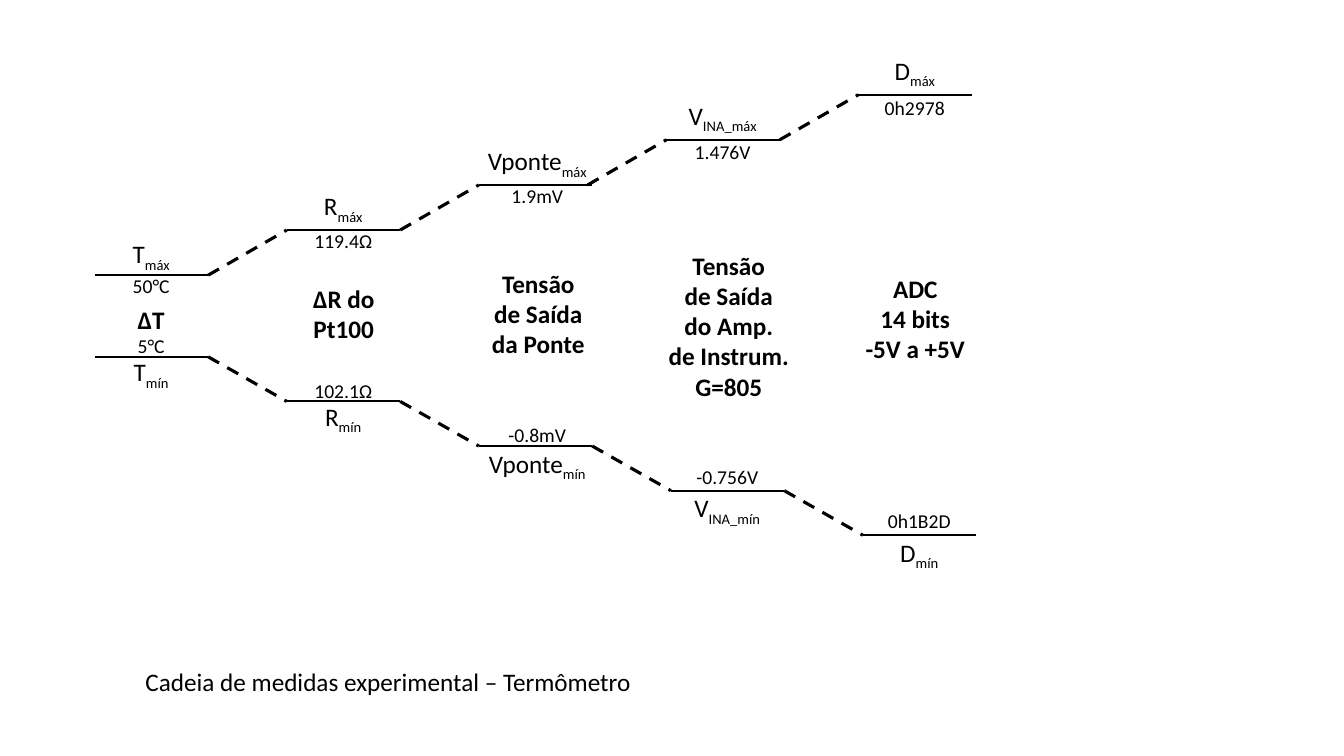
from lxml.etree import SubElement
from pptx import Presentation
from pptx.dml.color import RGBColor
from pptx.enum.dml import MSO_LINE
from pptx.enum.shapes import MSO_CONNECTOR
from pptx.enum.text import MSO_AUTO_SIZE, PP_ALIGN
from pptx.oxml.ns import qn
from pptx.util import Inches, Pt

BLACK = RGBColor(0x00, 0x00, 0x00)
FONT = "Calibri"

# Grid in inches: one column is a level plus the dashed link to the next one
LEFT = 0.94
LEVEL = 1.125
LINK = 0.78
COLUMN = LEVEL + LINK
LINE_HEIGHT = {14: 0.24, 18: 0.303}
PADDING = 0.1

prs = Presentation()
prs.slide_width, prs.slide_height = Inches(13.333), Inches(7.5)
slide = prs.slides.add_slide(prs.slide_layouts[6])


def add_text(text, centre, top, width, size=18, bold=False, subscript="",
             align=PP_ALIGN.CENTER):
    lines = text.split("\n")
    height = PADDING + LINE_HEIGHT[size] * len(lines)
    box = slide.shapes.add_textbox(Inches(centre - width / 2), Inches(top),
                                   Inches(width), Inches(height))
    frame = box.text_frame
    frame.word_wrap = False
    frame.auto_size = MSO_AUTO_SIZE.SHAPE_TO_FIT_TEXT
    for index, line in enumerate(lines):
        paragraph = frame.add_paragraph() if index else frame.paragraphs[0]
        paragraph.alignment = align
        for part in filter(None, (line, subscript)):
            run = paragraph.add_run()
            run.text = part
            run.font.name = FONT
            run.font.size = Pt(size)
            run.font.bold = bold
            run.font.color.rgb = BLACK
        if subscript:
            run.font._element.set("baseline", "-25000")


def add_line(x1, y1, x2, y2, weight=1.5, dash=None):
    line = slide.shapes.add_connector(MSO_CONNECTOR.STRAIGHT, Inches(x1), Inches(y1),
                                      Inches(x2), Inches(y2))
    line.line.color.rgb = BLACK
    line.line.width = Pt(weight)
    if dash:
        line.line.dash_style = dash
    SubElement(line._element.spPr, qn("a:effectLst"))


# Upper and lower branches: first level, rise per column, column shifts, and
# for each stage: symbol, subscript, symbol width and offset, value, its width and offset
branches = [
    (2.73, -0.4475, (0, 0, 0, -0.045, -0.045), [
        ("T", "máx", 0.61, -0.41, "50°C", 0.59, -0.06),
        ("R", "máx", 0.63, -0.44, "119.4Ω", 0.78, -0.06),
        ("Vponte", "máx", 1.23, -0.44, "1.9mV", 0.72, -0.06),
        ("V", "INA_máx", 0.97, -0.44, "1.476V", 0.76, -0.05),
        ("D", "máx", 0.65, -0.44, "0h2978", 0.81, -0.04),
    ]),
    (3.54, 0.4425, (0, 0, 0, 0, 0), [
        ("T", "mín", 0.58, -0.05, "5°C", 0.49, -0.28),
        ("R", "mín", 0.60, -0.05, "102.1Ω", 0.78, -0.27),
        ("Vponte", "mín", 1.21, -0.03, "-0.8mV", 0.78, -0.28),
        ("V", "INA_mín", 0.94, -0.03, "-0.756V", 0.82, -0.30),
        ("D", "mín", 0.62, -0.03, "0h1B2D", 0.83, -0.31),
    ]),
]
centre_offsets = (0.56, 0.56, 0.58, 0.56, 0.56)

for first_level, rise, shifts, stages in branches:
    for column, stage in enumerate(stages):
        symbol, subscript, symbol_width, symbol_offset, value, value_width, value_offset = stage
        start = LEFT + COLUMN * column + shifts[column]
        level = first_level + rise * column
        centre = start + centre_offsets[column]
        # Dashed link from the previous level, then the level itself
        if column:
            add_line(start - LINK, level - rise, start, level,
                     weight=2.25, dash=MSO_LINE.DASH)
        add_line(start, level, start + LEVEL, level)
        # Symbol on the outer side, value on the inner side
        add_text(symbol, centre, level + symbol_offset, symbol_width, subscript=subscript)
        add_text(value, centre, level + value_offset, value_width, size=14)

# Quantity measured at each stage: text, centre, top, width
quantities = [
    ("ΔT", 1.5, 2.97, 0.47),
    ("ΔR do\nPt100", 3.41, 2.76, 0.82),
    ("Tensão\nde Saída\nda Ponte", 5.34, 2.61, 1.15),
    ("Tensão\nde Saída\ndo Amp.\nde Instrum.\nG=805", 7.23, 2.43, 1.4),
    ("ADC\n14 bits\n-5V a +5V", 9.08, 2.66, 1.2),
]
for quantity, centre, top, width in quantities:
    add_text(quantity, centre, top, width, bold=True)

# Caption
add_text("Cadeia de medidas experimental – Termômetro", 3.88, 6.56, 5.07,
         align=PP_ALIGN.LEFT)

prs.save("out.pptx")
